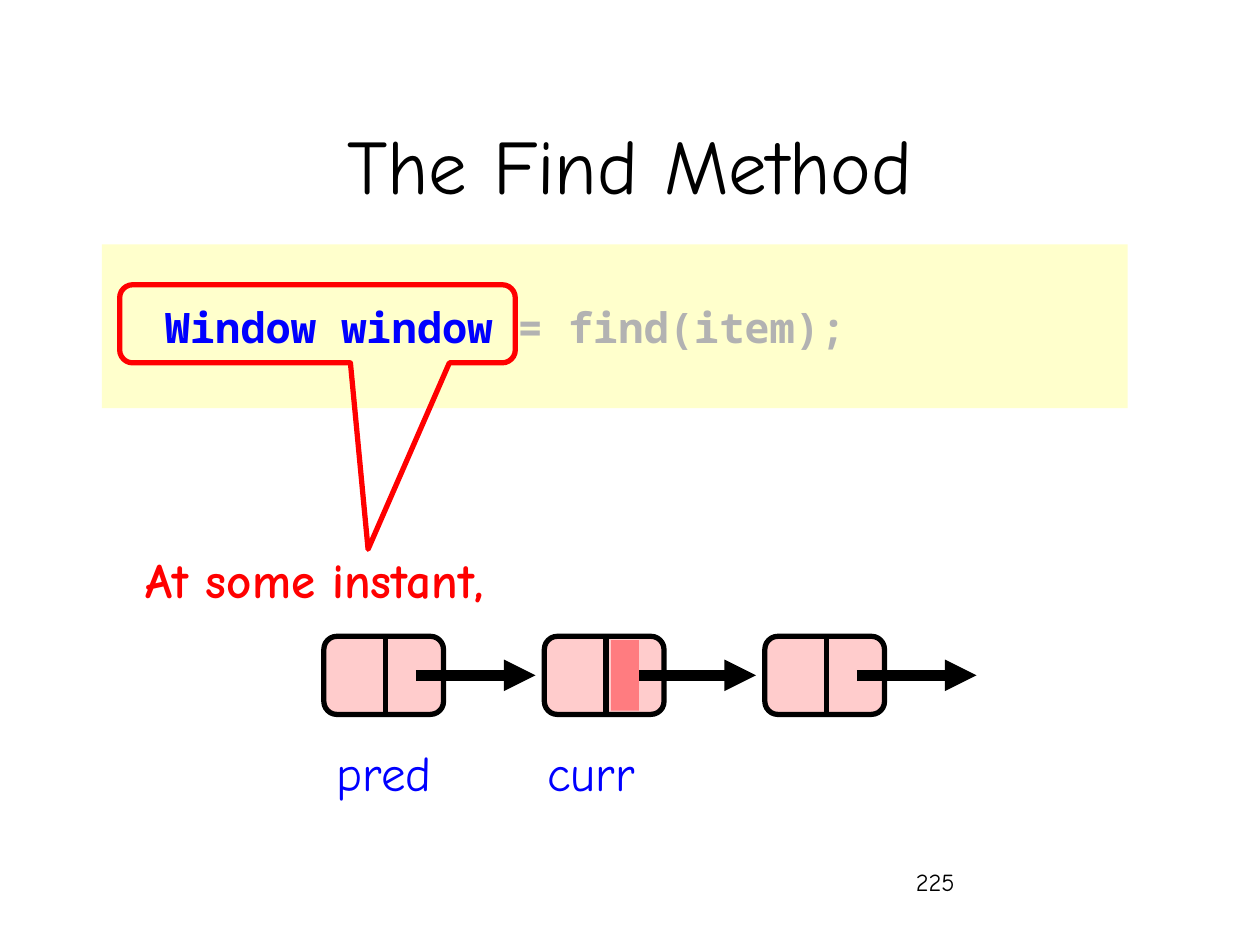
from lxml import etree
from pptx import Presentation
from pptx.dml.color import RGBColor
from pptx.enum.shapes import MSO_CONNECTOR, MSO_SHAPE
from pptx.enum.text import MSO_ANCHOR, PP_ALIGN
from pptx.oxml.ns import qn
from pptx.util import Inches, Pt

RECT = MSO_SHAPE.RECTANGLE
ROUNDED = MSO_SHAPE.ROUNDED_RECTANGLE
CALLOUT = MSO_SHAPE.ROUNDED_RECTANGULAR_CALLOUT
STRAIGHT = MSO_CONNECTOR.STRAIGHT
LEFT, CENTER = PP_ALIGN.LEFT, PP_ALIGN.CENTER
TOP, MIDDLE = MSO_ANCHOR.TOP, MSO_ANCHOR.MIDDLE

BLACK = RGBColor(0x00, 0x00, 0x00)
BLUE = RGBColor(0x00, 0x00, 0xFF)
RED = RGBColor(0xFF, 0x00, 0x00)
GRAY = RGBColor(0xB2, 0xB2, 0xB2)
CREAM = RGBColor(0xFF, 0xFF, 0xCC)
PINK = RGBColor(0xFF, 0xCC, 0xCC)
CORAL = RGBColor(0xFF, 0x7C, 0x80)

NODE_LEFT, NODE_TOP, NODE_WIDTH, NODE_HEIGHT = 2.57, 5.05, 0.95, 0.62
NODE_STEP, NODE_COUNT = 1.75, 3
DIVIDER_OFFSET, ARROW_OFFSET, ARROW_LENGTH = 0.49, 0.73, 0.95


class SlideBuilder:
    body_font = "Comic Neue"
    code_font = "Noto Sans Mono"

    def __init__(self, slide):
        self.slide = slide

    def fill_text(self, frame, runs, align=LEFT, anchor=TOP, wrap=True, **font_format):
        frame.word_wrap = wrap
        frame.vertical_anchor = anchor
        paragraph = frame.paragraphs[0]
        paragraph.alignment = align
        for text, color in runs:
            run = paragraph.add_run()
            run.text = text
            run.font.color.rgb = color
            for name, value in font_format.items():
                setattr(run.font, name, value)

    def label(self, text, box, size, color=BLACK, bold=False, **layout):
        frame = self.slide.shapes.add_textbox(*map(Inches, box)).text_frame
        self.fill_text(frame, [(text, color)], name=self.body_font,
                       size=Pt(size), bold=bold, **layout)

    def shape(self, kind, box, fill=None, outline=None, adjustments=(), parent=None):
        shape = (parent or self.slide).shapes.add_shape(kind, *map(Inches, box))
        shape.shadow.inherit = False
        for index, value in enumerate(adjustments):
            shape.adjustments[index] = value
        if fill is None:
            shape.fill.background()
        else:
            shape.fill.solid()
            shape.fill.fore_color.rgb = fill
        if outline is None:
            shape.line.fill.background()
        else:
            shape.line.color.rgb = outline
            shape.line.width = Pt(3)
        return shape

    def line(self, start, end, width, arrow=False, parent=None):
        shapes = (parent or self.slide).shapes
        line = shapes.add_connector(STRAIGHT, *map(Inches, start + end))
        line.line.color.rgb = BLACK
        line.line.width = Pt(width)
        properties = line._element.spPr
        etree.SubElement(properties, qn("a:effectLst"))
        if arrow:
            outline = properties.find(qn("a:ln"))
            etree.SubElement(outline, qn("a:tailEnd"), type="triangle")

    def code(self, runs, box):
        panel = self.shape(RECT, box, CREAM)
        self.fill_text(panel.text_frame, runs, anchor=MIDDLE,
                       name=self.code_font, size=Pt(24), bold=True)

    def node(self, left):
        node = self.slide.shapes.add_group_shape()
        self.shape(ROUNDED, (left, NODE_TOP, NODE_WIDTH, NODE_HEIGHT),
                   PINK, BLACK, [0.167], node)
        divider = left + DIVIDER_OFFSET
        self.line((divider, NODE_TOP), (divider, NODE_TOP + NODE_HEIGHT), 3, parent=node)


def main():
    presentation = Presentation()
    presentation.slide_width = Inches(10)
    presentation.slide_height = Inches(7.5)
    builder = SlideBuilder(presentation.slides.add_slide(presentation.slide_layouts[6]))

    builder.label("225", (7.17, 6.83, 2.08, 0.5), 14)
    builder.label("The Find Method", (0.75, 0.67, 8.5, 1.25), 44,
                  align=CENTER, anchor=MIDDLE)
    builder.code([("  Window window ", BLUE), ("= find(item);", GRAY)],
                 (0.81, 1.94, 8.14, 1.3))
    builder.shape(CALLOUT, (0.95, 2.26, 3.14, 0.62), outline=RED,
                  adjustments=[0.128, 2.886, 0.167])
    builder.label("At some instant, ", (0.43, 4.31, 4.27, 0.57), 28, RED, True,
                  align=CENTER)

    node_lefts = [NODE_LEFT + index * NODE_STEP for index in range(NODE_COUNT)]
    for left in node_lefts:
        builder.node(left)
    arrow_y = NODE_TOP + NODE_HEIGHT / 2
    for left in node_lefts:
        start = left + ARROW_OFFSET
        builder.line((start, arrow_y), (start + ARROW_LENGTH, arrow_y), 6, arrow=True)

    for name, left, width in (("pred", 2.53, 1.04), ("curr", 4.2, 0.98)):
        builder.label(name, (left, 5.84, width, 0.57), 28, BLUE,
                      align=CENTER, wrap=False)
    builder.shape(RECT, (4.85, 5.08, 0.22, 0.56), CORAL)

    presentation.save("out.pptx")


if __name__ == "__main__":
    main()
